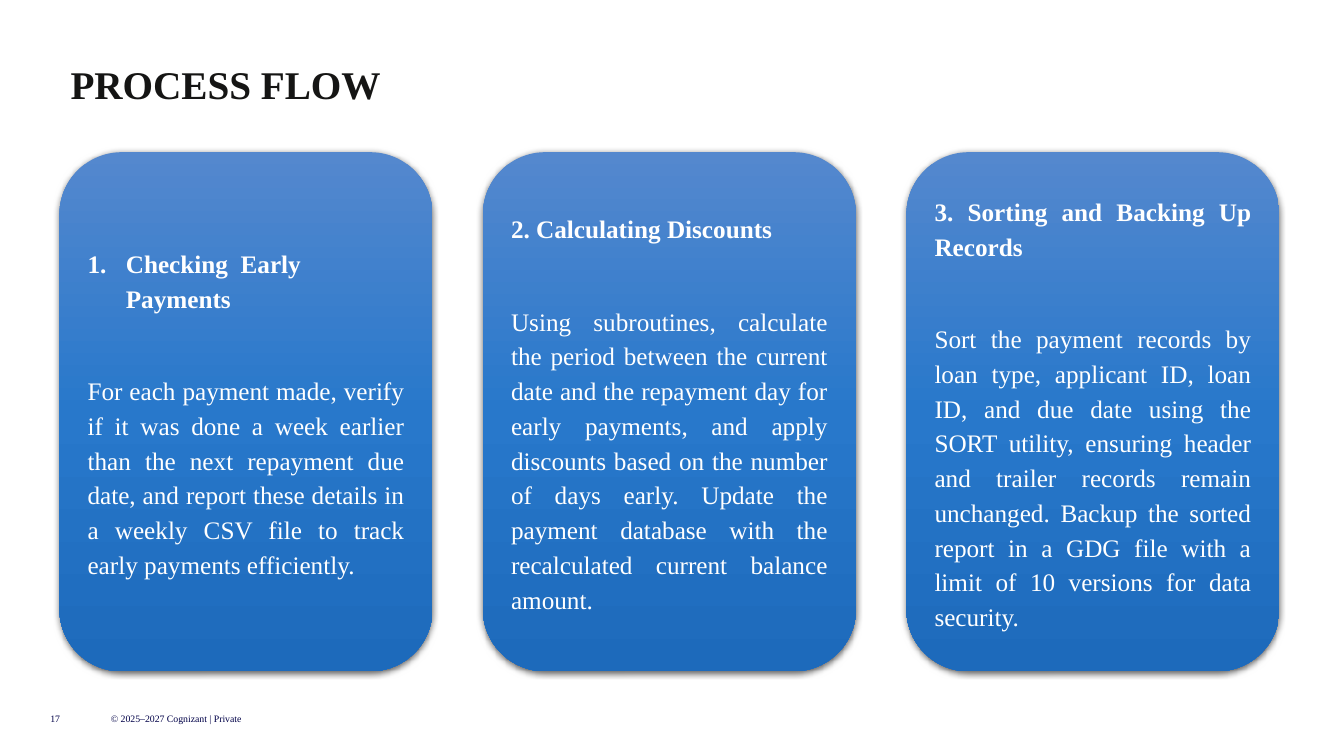
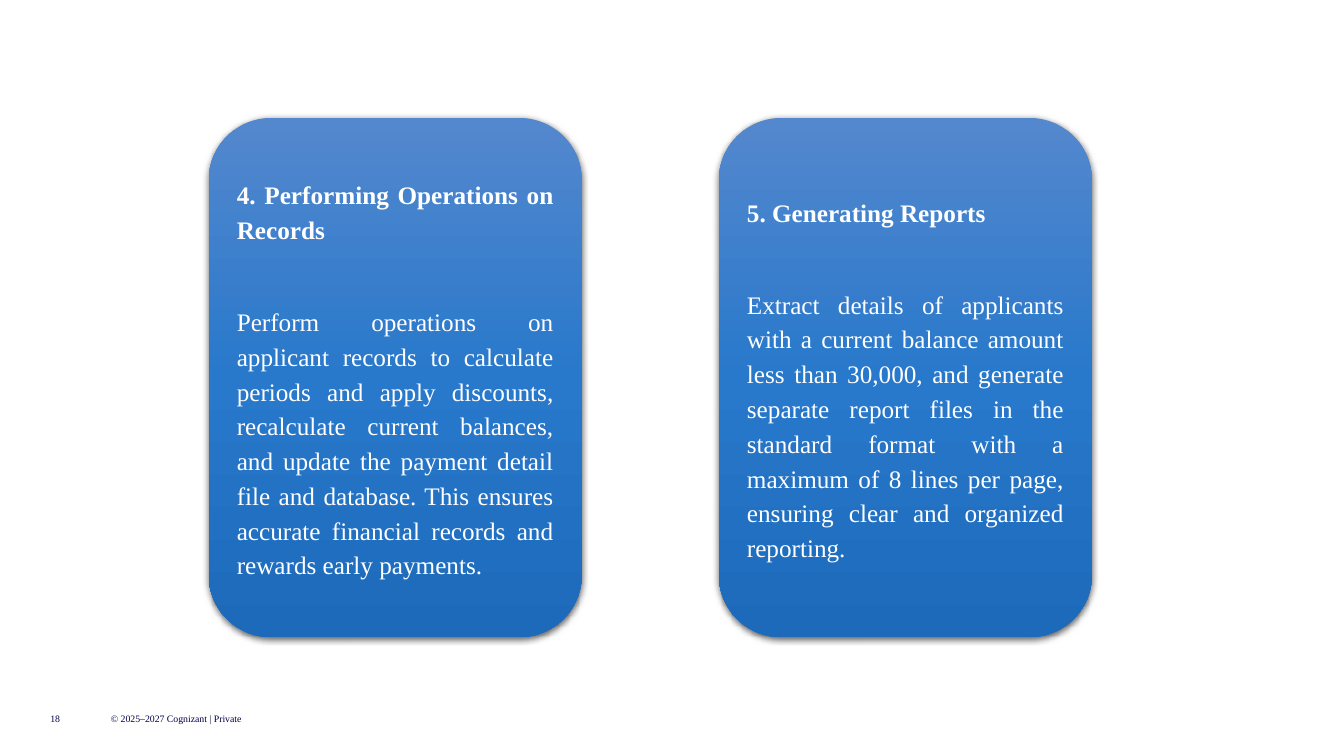
from lxml import etree
from pptx import Presentation
from pptx.dml.color import RGBColor
from pptx.enum.shapes import MSO_SHAPE
from pptx.enum.text import MSO_ANCHOR, MSO_AUTO_SIZE, PP_ALIGN
from pptx.oxml.ns import qn
from pptx.util import Inches, Pt

ROUNDED = MSO_SHAPE.ROUNDED_RECTANGLE
TOP, MIDDLE = MSO_ANCHOR.TOP, MSO_ANCHOR.MIDDLE
LEFT, JUSTIFY = PP_ALIGN.LEFT, PP_ALIGN.JUSTIFY
NO_AUTOFIT = MSO_AUTO_SIZE.NONE
TITLE_ONLY, BLANK = 5, 6

FIRST_PAGE = 17
COPYRIGHT = "© 2025–2027 Cognizant | Private"


def color(value):
    return RGBColor.from_string(value)


def add_element(parent, tag, **attributes):
    """Append a drawing element such as a:gs with its attributes."""
    return etree.SubElement(parent, qn(tag), attributes)


class Deck:
    FONT = "Times New Roman"
    TITLE_COLOR, FOOTER_COLOR, CARD_TEXT = "151514", "000048", "FFFFFF"
    CARD_GRADIENT = {"0": "5488CE", "50000": "2878CB", "100000": "1D6ABB"}
    CARD_WIDTH, CARD_HEIGHT = 3.7, 5.15

    def __init__(self):
        self.presentation = Presentation()
        self.presentation.slide_width = Inches(13.33)
        self.presentation.slide_height = Inches(7.5)
        self.slide = None

    def add_slide(self, page, title=None):
        layout = self.presentation.slide_layouts[TITLE_ONLY if title else BLANK]
        self.slide = self.presentation.slides.add_slide(layout)
        if title:
            self.title(title)
        self.footer_text(0.5, 0.4, str(page))
        self.footer_text(1.1, 1.94, COPYRIGHT)

    def place(self, shape, left, top, width, height):
        shape.left, shape.top = Inches(left), Inches(top)
        shape.width, shape.height = Inches(width), Inches(height)

    def prepare_frame(self, shape, anchor):
        """Wrap the text and remove the insets."""
        frame = shape.text_frame
        frame.word_wrap = True
        frame.auto_size = NO_AUTOFIT
        frame.vertical_anchor = anchor
        frame.margin_left = frame.margin_right = 0
        frame.margin_top = frame.margin_bottom = 0
        return frame

    def style(self, paragraph, size, hex_color, bold=False, align=JUSTIFY):
        paragraph.alignment = align
        for run in paragraph.runs:
            run.font.name = self.FONT
            run.font.size = Pt(size)
            run.font.bold = bold
            run.font.color.rgb = color(hex_color)

    def title(self, text):
        shape = self.slide.shapes.title
        self.place(shape, 0.7, 0.65, 12.44, 0.42)
        frame = self.prepare_frame(shape, TOP)
        frame.text = text
        frame.paragraphs[0].line_spacing = 0.9
        self.style(frame.paragraphs[0], 28, self.TITLE_COLOR, bold=True)

    def footer_text(self, left, width, text):
        box = self.slide.shapes.add_textbox(
            Inches(left), Inches(7), Inches(width), Inches(0.25))
        frame = self.prepare_frame(box, MIDDLE)
        frame.text = text
        self.style(frame.paragraphs[0], 7, self.FOOTER_COLOR)

    def card(self, left, top, heading, body, numbered=False):
        shape = self.slide.shapes.add_shape(
            ROUNDED, Inches(left), Inches(top),
            Inches(self.CARD_WIDTH), Inches(self.CARD_HEIGHT))
        self.card_surface(shape)
        frame = shape.text_frame
        frame.word_wrap = True
        frame.vertical_anchor = MIDDLE
        heading_line, body_line = frame.paragraphs[0], frame.add_paragraph()
        heading_line.text, body_line.text = heading, body
        heading_line.space_after, body_line.space_after = Pt(41), Pt(8)
        for paragraph in frame.paragraphs:
            paragraph.line_spacing = 1.15
        if numbered:
            self.number(heading_line)
        self.style(heading_line, 18, self.CARD_TEXT, bold=True,
                   align=LEFT if numbered else JUSTIFY)
        self.style(body_line, 18, self.CARD_TEXT)

    def card_surface(self, shape):
        """Three-stop vertical gradient, no outline and a soft shadow."""
        shape.line.fill.background()
        properties = shape._element.spPr
        gradient = add_element(properties, "a:gradFill", rotWithShape="1")
        stops = add_element(gradient, "a:gsLst")
        for position, value in self.CARD_GRADIENT.items():
            stop = add_element(stops, "a:gs", pos=position)
            add_element(stop, "a:srgbClr", val=value)
        add_element(gradient, "a:lin", ang="5400000", scaled="0")
        properties.find(qn("a:ln")).addprevious(gradient)

        effects = add_element(properties, "a:effectLst")
        shadow = add_element(
            effects, "a:outerShdw", blurRad=str(Pt(4.5)), dist=str(Pt(1.5)),
            dir="5400000", algn="ctr", rotWithShape="0")
        shadow_color = add_element(shadow, "a:srgbClr", val="000000")
        add_element(shadow_color, "a:alpha", val="63000")

    def number(self, paragraph):
        """Automatic number with a hanging indent."""
        properties = paragraph._p.get_or_add_pPr()
        indent = Inches(0.38)
        properties.set("marL", str(indent))
        properties.set("indent", str(-indent))
        add_element(properties, "a:buFont", typeface="+mj-lt")
        add_element(properties, "a:buAutoNum", type="arabicPeriod")

    def card_row(self, left, top, step, cards):
        for index, card in enumerate(cards):
            self.card(left + index * step, top, *card)


FIRST_STEPS = [
    ("Checking  Early Payments",
     "For each payment made, verify if it was done a week earlier than the "
     "next repayment due date, and report these details in a weekly CSV file "
     "to track early payments efficiently.", True),
    ("2. Calculating Discounts",
     "Using subroutines, calculate the period between the current date and "
     "the repayment day for early payments, and apply discounts based on the "
     "number of days early. Update the payment database with the "
     "recalculated current balance amount."),
    ("3. Sorting and Backing Up Records",
     "Sort the payment records by loan type, applicant ID, loan ID, and due "
     "date using the SORT utility, ensuring header and trailer records remain "
     "unchanged. Backup the sorted report in a GDG file with a limit of 10 "
     "versions for data security."),
]
LAST_STEPS = [
    ("4. Performing Operations on Records",
     "Perform operations on applicant records to calculate periods and apply "
     "discounts, recalculate current balances, and update the payment detail "
     "file and database. This ensures accurate financial records and rewards "
     "early payments."),
    ("5. Generating Reports",
     "Extract details of applicants with a current balance amount less than "
     "30,000, and generate separate report files in the standard format with "
     "a maximum of 8 lines per page, ensuring clear and organized reporting."),
]


def main():
    deck = Deck()

    # Steps 1 to 3
    deck.add_slide(FIRST_PAGE, "PROCESS FLOW")
    deck.card_row(0.59, 1.51, 4.2, FIRST_STEPS)

    # Steps 4 and 5
    deck.add_slide(FIRST_PAGE + 1)
    deck.card_row(2.07, 1.17, 5.06, LAST_STEPS)

    deck.presentation.save("out.pptx")


if __name__ == "__main__":
    main()
